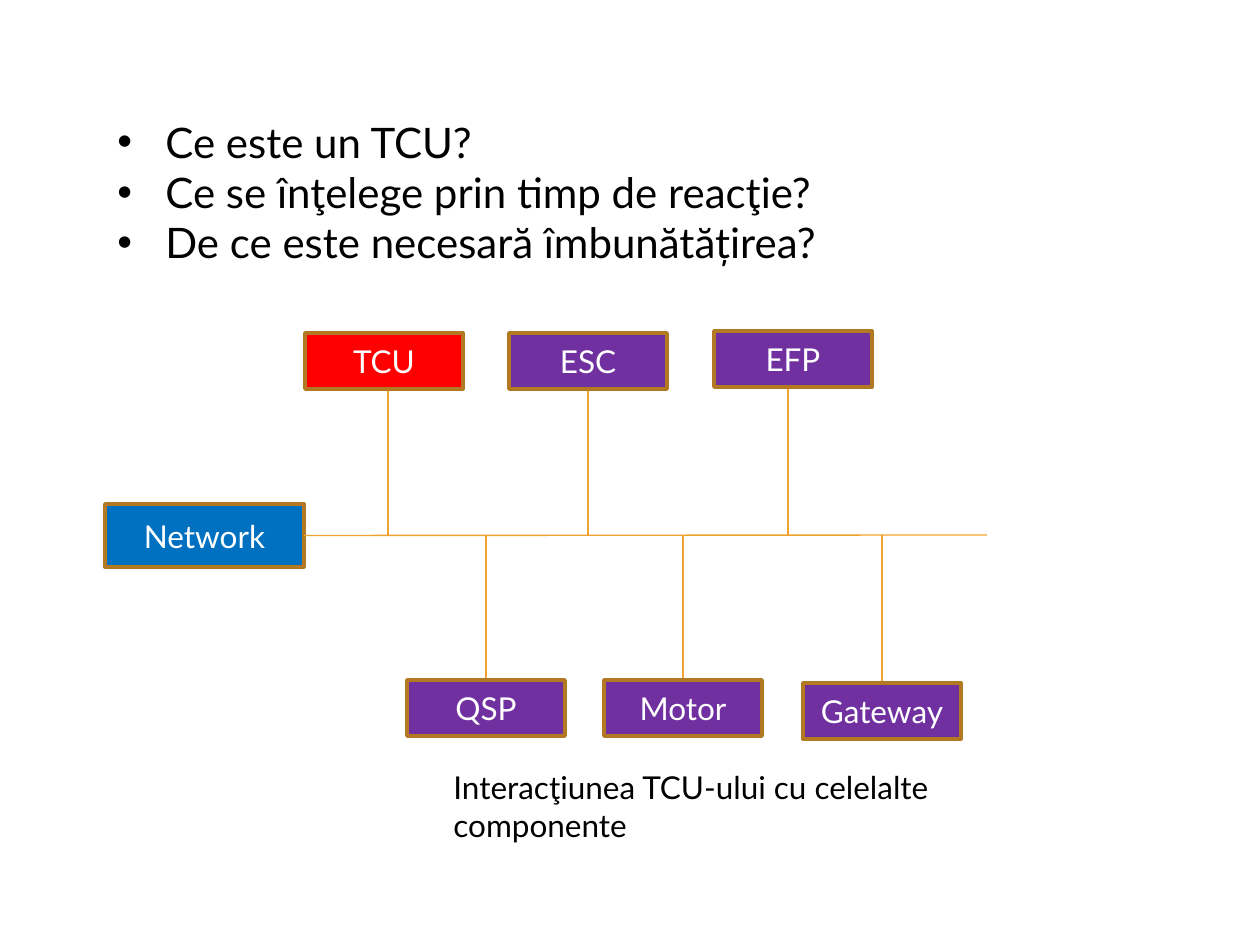
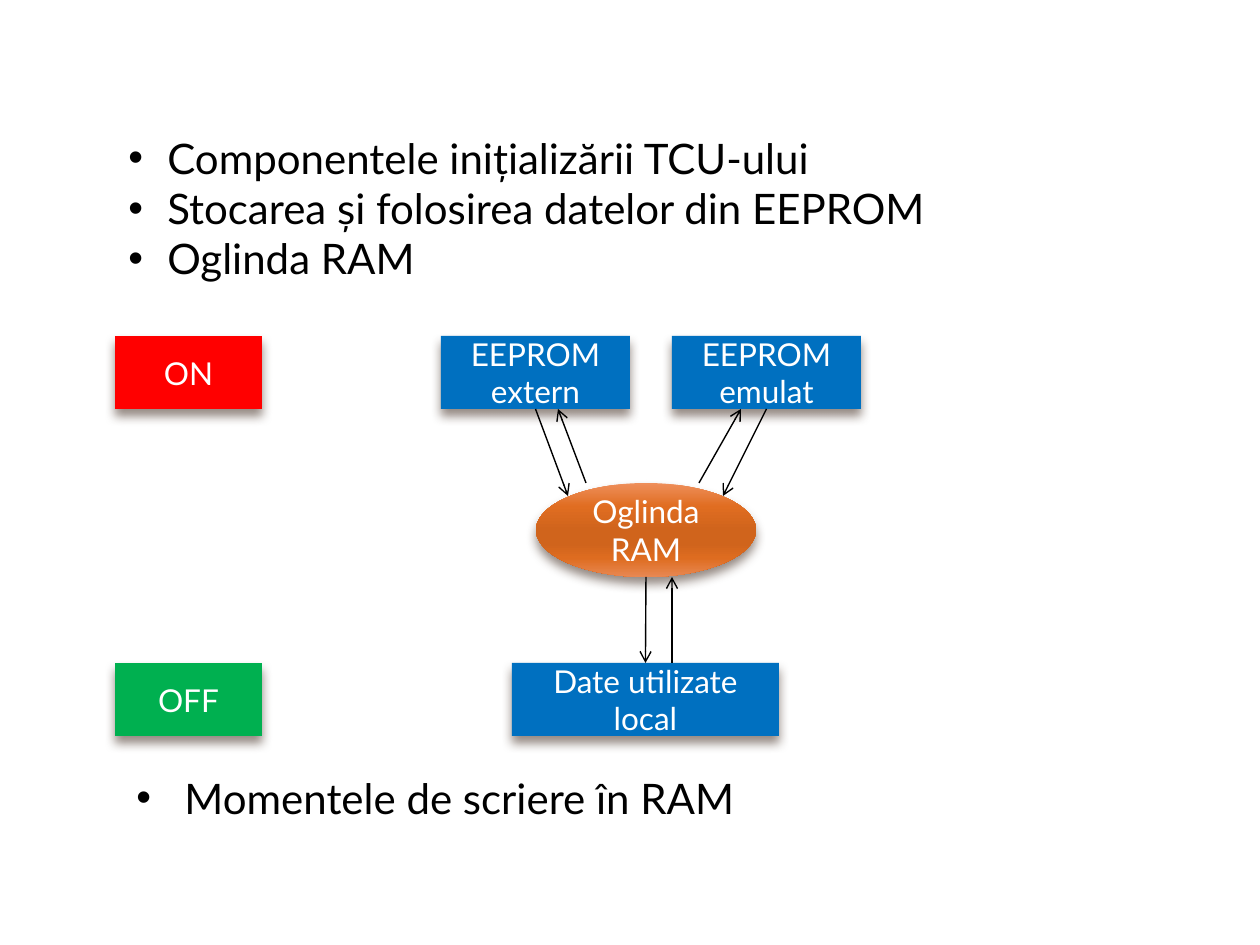
from lxml import etree
from pptx import Presentation
from pptx.dml.color import RGBColor
from pptx.enum.shapes import MSO_CONNECTOR, MSO_SHAPE
from pptx.enum.text import MSO_ANCHOR, PP_ALIGN
from pptx.oxml.ns import qn
from pptx.util import Pt

RECTANGLE = MSO_SHAPE.RECTANGLE
ELLIPSE = MSO_SHAPE.OVAL
BUTTON = MSO_SHAPE.ACTION_BUTTON_CUSTOM
STRAIGHT = MSO_CONNECTOR.STRAIGHT
TOP, BOTTOM, RIGHT = 0, 2, 3

EMU_PER_PX = 914400 / 126
FONT = "Lato"
LIST_SIZE, LABEL_SIZE = 24, 18
BLACK, WHITE = "000000", "FFFFFF"
RED, GREEN, BLUE, PURPLE = "FF0000", "00B050", "0070C0", "7030A0"
BORDER, BUS_COLOR, SHADOW = "B27822", "F0A22E", "4E3B30"
ORANGE_STOPS = [(0, "EE8F5B"), (25, "E06D21"), (50, "D0641C"),
                (65, "D0641C"), (80, "DE6C20"), (100, "E88852")]

# Slide 1: control units on the network
QUESTIONS = ["Ce este un TCU?", "Ce se înţelege prin timp de reacţie?",
             "De ce este necesară îmbunătățirea?"]
CAPTION = "Interacţiunea TCU-ului cu celelalte componente"
BUS_Y, BUS_END = 535, 987
UNIT_WIDTH, UNIT_HEIGHT = 158, 56
UNITS = [  # label, left, top, fill, x where it meets the bus
    ("TCU", 305, 333, RED, 388),
    ("ESC", 509, 333, PURPLE, 588),
    ("EFP", 714, 331, PURPLE, 788),
    ("QSP", 407, 680, PURPLE, 486),
    ("Motor", 604, 680, PURPLE, 683),
    ("Gateway", 803, 683, PURPLE, 882),
]

# Slide 2: memory blocks and data flow
TOPICS = ["Componentele inițializării TCU-ului",
          "Stocarea și folosirea datelor din EEPROM", "Oglinda RAM"]
LAST_TOPIC = ["Momentele de scriere în RAM"]
ROW_TOP, ROW_BOTTOM, BLOCK_HEIGHT = 336, 663, 73
BLOCKS = [  # label, kind, left, top, width, height, fill
    ("EEPROM extern", RECTANGLE, 441, ROW_TOP, 189, BLOCK_HEIGHT, BLUE),
    ("EEPROM emulat", RECTANGLE, 672, ROW_TOP, 189, BLOCK_HEIGHT, BLUE),
    ("Oglinda RAM", ELLIPSE, 536, 483, 220, 94, ORANGE_STOPS),
    ("Date utilizate local", RECTANGLE, 512, ROW_BOTTOM, 267, BLOCK_HEIGHT, BLUE),
    ("ON", BUTTON, 115, ROW_TOP, 147, BLOCK_HEIGHT, RED),
    ("OFF", BUTTON, 115, ROW_BOTTOM, 147, BLOCK_HEIGHT, GREEN),
]
FLOWS = [  # start, end, block joined at its bottom, block joined at its top
    ((536, 409), (568, 496), "EEPROM extern", None),
    ((766, 409), (723, 496), "EEPROM emulat", None),
    ((646, 577), (646, 663), None, "Date utilizate local"),
    ((672, 663), (672, 577), None, None),
    ((586, 483), (558, 409), None, None),
    ((699, 483), (741, 409), None, None),
]


def px(*lengths):
    return [round(length * EMU_PER_PX) for length in lengths]


def rgb(color):
    return RGBColor.from_string(color)


def add_child(parent, tag, **attributes):
    return etree.SubElement(parent, qn(tag), {k: str(v) for k, v in attributes.items()})


def format_runs(text_frame, size, color):
    for paragraph in text_frame.paragraphs:
        for run in paragraph.runs:
            run.font.name = FONT
            run.font.size = Pt(size)
            run.font.color.rgb = rgb(color)


def add_text(slide, lines, box, size, indent=0):
    """Add a text box; a positive indent makes its lines bulleted."""
    text_frame = slide.shapes.add_textbox(*px(*box)).text_frame
    text_frame.word_wrap = True
    text_frame.text = "\n".join(lines)
    format_runs(text_frame, size, BLACK)
    if indent:
        [margin] = px(indent)
        for paragraph in text_frame.paragraphs:
            properties = paragraph._p.get_or_add_pPr()
            properties.set("marL", str(margin))
            properties.set("indent", str(-margin))
            add_child(properties, "a:buFont", typeface="Arial")
            add_child(properties, "a:buChar", char="•")


def add_box(slide, label, kind, box, fill):
    shape = slide.shapes.add_shape(kind, *px(*box))
    shape.shadow.inherit = False
    if isinstance(fill, str):
        shape.fill.solid()
        shape.fill.fore_color.rgb = rgb(fill)
    else:
        fill_with_stops(shape, fill)
    shape.line.fill.background()
    text_frame = shape.text_frame
    text_frame.word_wrap = True
    text_frame.vertical_anchor = MSO_ANCHOR.MIDDLE
    text_frame.text = label
    text_frame.paragraphs[0].alignment = PP_ALIGN.CENTER
    format_runs(text_frame, LABEL_SIZE, WHITE)
    return shape


def fill_with_stops(shape, stops):
    """Fill from top to bottom with a gradient of any number of stops."""
    shape.fill.gradient()
    gradient = shape._element.spPr.find(qn("a:gradFill"))
    for child in list(gradient):
        gradient.remove(child)
    stop_list = add_child(gradient, "a:gsLst")
    for percent, color in stops:
        stop = add_child(stop_list, "a:gs", pos=percent * 1000)
        add_child(stop, "a:srgbClr", val=color)
    add_child(gradient, "a:lin", ang=5400000, scaled=0)


def add_border(shape):
    shape.line.color.rgb = rgb(BORDER)
    shape.line.width = Pt(2)


def add_shadow(shape):
    effects = shape._element.spPr.find(qn("a:effectLst"))
    shadow = add_child(effects, "a:outerShdw", blurRad=Pt(6), dist=Pt(4),
                       dir=5400000, rotWithShape=0)
    color = add_child(shadow, "a:srgbClr", val=SHADOW)
    add_child(color, "a:alpha", val=60000)


def add_line(slide, start, end, color, arrow=False):
    connector = slide.shapes.add_connector(STRAIGHT, *px(*start, *end))
    connector.line.color.rgb = rgb(color)
    connector.line.width = Pt(0.79)
    if arrow:
        add_child(connector.line._get_or_add_ln(), "a:tailEnd", type="arrow")
    add_child(connector._element.spPr, "a:effectLst")
    return connector


def build_network(slide):
    add_text(slide, QUESTIONS, (105, 110, 809, 217), LIST_SIZE, indent=48)
    add_text(slide, [CAPTION], (441, 762, 662, 50), LABEL_SIZE)
    network = add_box(slide, "Network", RECTANGLE, (105, 504, 199, 63), BLUE)
    add_border(network)
    bus = add_line(slide, (304, BUS_Y), (BUS_END, BUS_Y), BUS_COLOR)
    bus.begin_connect(network, RIGHT)
    for label, left, top, fill, bus_x in UNITS:
        above = top < BUS_Y
        edge = top + UNIT_HEIGHT if above else top
        drop = add_line(slide, (bus_x, edge), (bus_x, BUS_Y), BUS_COLOR)
        unit = add_box(slide, label, RECTANGLE, (left, top, UNIT_WIDTH, UNIT_HEIGHT), fill)
        add_border(unit)
        if bus_x == left + UNIT_WIDTH // 2:
            drop.begin_connect(unit, BOTTOM if above else TOP)


def build_memory(slide):
    add_text(slide, TOPICS, (116, 126, 882, 165), LIST_SIZE, indent=39)
    add_text(slide, LAST_TOPIC, (124, 766, 924, 63), LIST_SIZE, indent=48)
    blocks = {}
    for label, kind, *box, fill in BLOCKS:
        blocks[label] = add_box(slide, label, kind, box, fill)
        add_shadow(blocks[label])
    for start, end, source, target in FLOWS:
        flow = add_line(slide, start, end, BLACK, arrow=True)
        if source:
            flow.begin_connect(blocks[source], BOTTOM)
        if target:
            flow.end_connect(blocks[target], TOP)


def main():
    presentation = Presentation()
    presentation.slide_width, presentation.slide_height = px(1260, 945)
    blank = presentation.slide_layouts[6]
    for build in (build_network, build_memory):
        build(presentation.slides.add_slide(blank))
    presentation.save("out.pptx")


if __name__ == "__main__":
    main()
